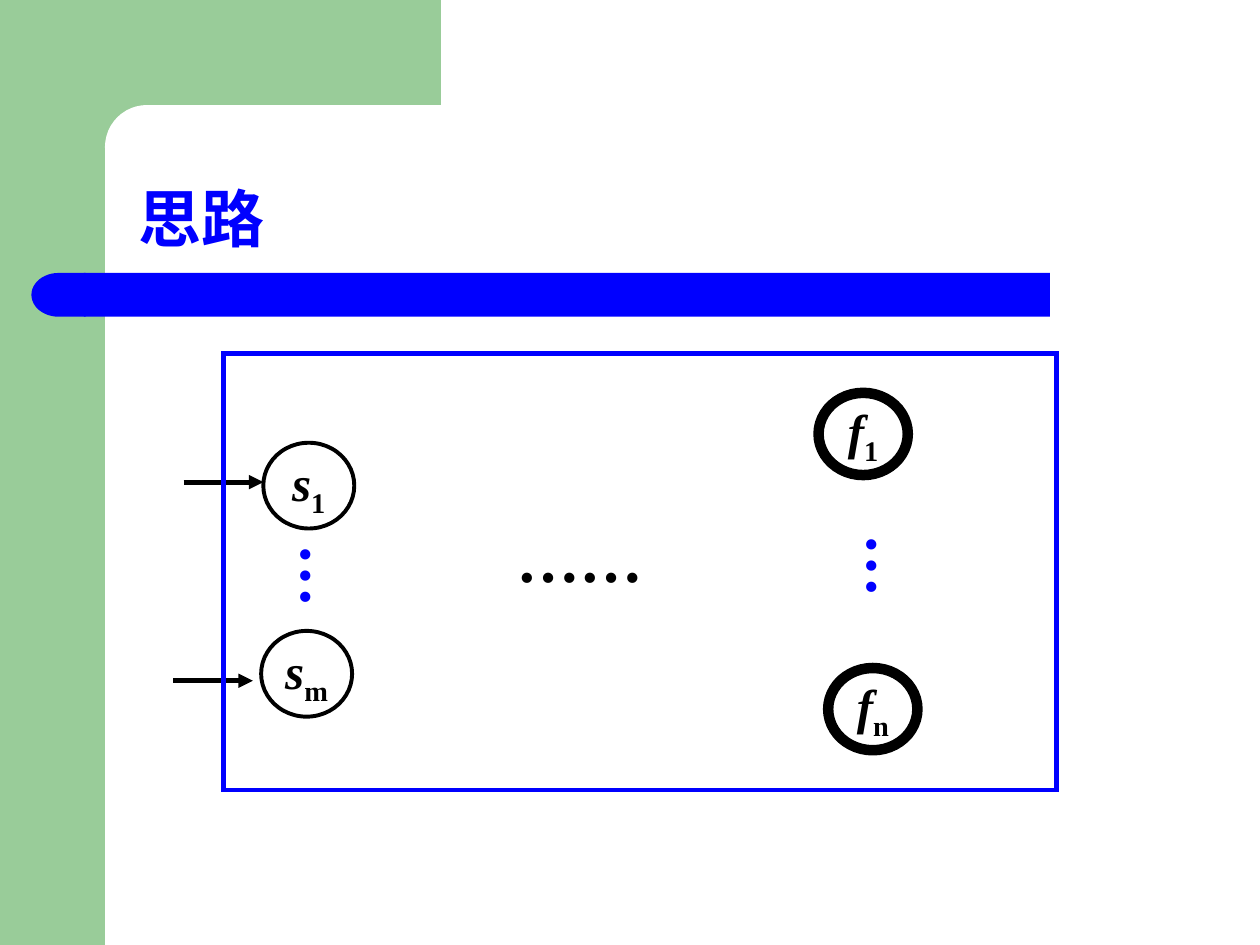
"""Build the 思路 slide: start states s1..sm and final states f1..fn in one frame."""
from lxml import etree
from pptx import Presentation
from pptx.dml.color import RGBColor
from pptx.enum.shapes import MSO_CONNECTOR, MSO_SHAPE
from pptx.enum.text import MSO_ANCHOR, MSO_AUTO_SIZE, PP_ALIGN
from pptx.oxml.ns import qn
from pptx.util import Pt

RECT, ROUND, OVAL = MSO_SHAPE.RECTANGLE, MSO_SHAPE.ROUNDED_RECTANGLE, MSO_SHAPE.OVAL
DELAY = MSO_SHAPE.FLOWCHART_DELAY
STRAIGHT = MSO_CONNECTOR.STRAIGHT
MIDDLE, BOTTOM = MSO_ANCHOR.MIDDLE, MSO_ANCHOR.BOTTOM
LEFT, CENTER = PP_ALIGN.LEFT, PP_ALIGN.CENTER
NO_FIT = MSO_AUTO_SIZE.NONE
GREEN = RGBColor(0x99, 0xCC, 0x99)
BLUE = RGBColor(0x00, 0x00, 0xFF)
WHITE = RGBColor(0xFF, 0xFF, 0xFF)
BLACK = RGBColor(0x00, 0x00, 0x00)
FONT = "Times New Roman"


def add_shape(kind, box, fill=None, line=None, width=0):
    sp = s.shapes.add_shape(kind, *map(Pt, box))
    sp.shadow.inherit = False
    if fill is None:
        sp.fill.background()
    else:
        sp.fill.solid()
        sp.fill.fore_color.rgb = fill
    if line is None:
        sp.line.fill.background()
    else:
        sp.line.color.rgb = line
        sp.line.width = Pt(width)
    return sp


def add_run(p, text, color, **formats):
    r = p.add_run()
    r.text = text
    r.font.color.rgb = color
    for name, value in {"name": FONT, "bold": True, **formats}.items():
        setattr(r.font, name, value)
    return r


prs = Presentation()
prs.slide_width, prs.slide_height = Pt(720), Pt(540)
s = prs.slides.add_slide(prs.slide_layouts[5])

add_shape(RECT, (0, 0, 60, 540), GREEN)
add_shape(RECT, (54, 0, 198, 84), GREEN)
add_shape(ROUND, (60, 60, 402, 48), WHITE).adjustments[0] = 0.5
add_shape(RECT, (48, 156, 552, 25), BLUE)
cap = add_shape(DELAY, (18, 156, 31, 25), BLUE)
cap._element.spPr.get_or_add_xfrm().set("flipH", "1")

title = s.shapes.title
s.shapes._spTree.append(title._element)
title.left, title.top, title.width, title.height = map(Pt, (72, 60, 630, 90))
tf = title.text_frame
tf.vertical_anchor, tf.auto_size = BOTTOM, NO_FIT
p = tf.paragraphs[0]
p.alignment, p.line_spacing = LEFT, 0.9
add_run(p, "思路", BLUE, size=Pt(36))

START, FINAL = (52, 49, 2.25), (51, 47, 6)
for x, y, (w, h, width), letter, index in (
    (150.5, 253, START, "s", "1"),
    (467.75, 224.5, FINAL, "f", "1"),
    (149.25, 360.5, START, "s", "m"),
    (473.25, 381.75, FINAL, "f", "n"),
):
    tf = add_shape(OVAL, (x, y, w, h), None, BLACK, width).text_frame
    tf.word_wrap, tf.vertical_anchor = False, MIDDLE
    p = tf.paragraphs[0]
    p.alignment = CENTER
    add_run(p, letter, BLACK, size=Pt(28), italic=True)
    r = add_run(p, index, BLACK, size=Pt(28), italic=False)
    r._r.get_or_add_rPr().set("baseline", "-25000")

for x, y in ((105, 275.5), (99, 389)):
    arrow = s.shapes.add_connector(STRAIGHT, Pt(x), Pt(y), Pt(x + 45.5), Pt(y))
    arrow.line.color.rgb = BLACK
    arrow.line.width = Pt(2.75)
    etree.SubElement(arrow.line._get_or_add_ln(), qn("a:tailEnd"), type="triangle")
    etree.SubElement(arrow._element.spPr, qn("a:effectLst"))

for box, text, color, vertical in (
    ((252, 276, 158.5, 85), "……", BLACK, False),
    ((155.5, 304, 62.5, 57), "…", BLUE, True),
    ((479, 298, 62.5, 57), "…", BLUE, True),
):
    tf = s.shapes.add_textbox(*map(Pt, box)).text_frame
    tf.word_wrap, tf.vertical_anchor = vertical, MIDDLE
    if vertical:
        tf._txBody.bodyPr.set("vert", "eaVert")
        tf.margin_left = tf.margin_right = Pt(3.6)
        tf.margin_top = tf.margin_bottom = Pt(7.2)
    p = tf.paragraphs[0]
    p.alignment, p.space_before = CENTER, Pt(9)
    r = add_run(p, text, color, size=Pt(36))
    etree.SubElement(r._r.get_or_add_rPr(), qn("a:ea"), typeface=FONT)

frame = add_shape(RECT, (127.5, 202, 476.25, 249.5), None, BLUE, 2.75)
etree.SubElement(frame.line._get_or_add_ln(), qn("a:miter"), lim="800000")

prs.save("out.pptx")
